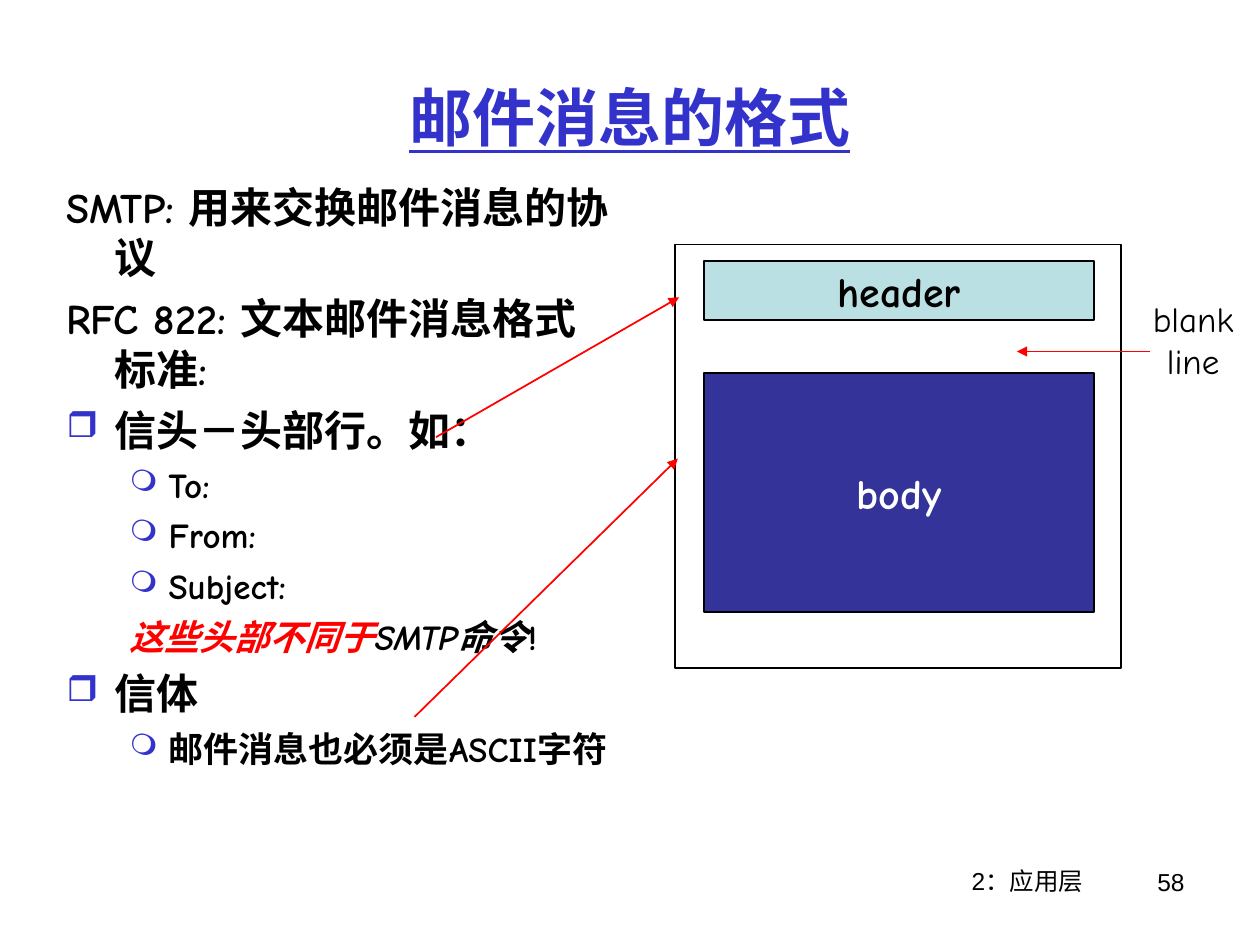
from dataclasses import dataclass

from lxml import etree
from pptx import Presentation
from pptx import util as u
from pptx.dml.color import RGBColor
from pptx.enum import shapes, text
from pptx.oxml import ns

SCALE = 9144


def px(length):
    return u.Emu(length * SCALE)


def child(parent, tag, **attributes):
    return etree.SubElement(parent, ns.qn(tag), attributes)


@dataclass(frozen=True)
class Theme:
    font: str = "Comic Neue"
    footer_font: str = "Arial"
    ink: str = "000000"
    paper: str = "FFFFFF"
    accent: str = "3333CC"
    alert: str = "FF0000"
    header_fill: str = "BBE0E3"
    body_fill: str = "333399"
    title_size: int = 36
    main_size: int = 24
    sub_size: int = 20
    footer_size: int = 14
    line_width: int = 1


@dataclass(frozen=True)
class Level:
    size: int
    left: int
    hanging: int
    before: int
    bullet: str


THEME = Theme()
MAIN = Level(THEME.main_size, 38, 38, 6, "❒")
SUB = Level(THEME.sub_size, 81, 31, 5, "❍")
CENTER = text.PP_ALIGN.CENTER
RIGHT = text.PP_ALIGN.RIGHT
MIDDLE = text.MSO_ANCHOR.MIDDLE


class SlideBuilder:
    def __init__(self, slide, theme):
        self.slide = slide
        self.theme = theme

    def style(self, run, size, color=None, bold=False, italic=False, underline=False, font=None):
        run.font.name = font or self.theme.font
        run.font.size = u.Pt(size)
        run.font.bold = bold
        run.font.italic = italic
        run.font.underline = underline
        run.font.color.rgb = RGBColor.from_string(color or self.theme.ink)

    def fill_text(self, frame, words, size, align=CENTER, **look):
        frame.text = words
        for paragraph in frame.paragraphs:
            paragraph.alignment = align
            for run in paragraph.runs:
                self.style(run, size, **look)

    def label(self, box, words, size, wrap=True, anchor=text.MSO_ANCHOR.TOP, **look):
        frame = self.slide.shapes.add_textbox(*map(px, box)).text_frame
        frame.word_wrap = wrap
        frame.vertical_anchor = anchor
        self.fill_text(frame, words, size, **look)

    def outline(self, box, items):
        frame = self.slide.shapes.add_textbox(*map(px, box)).text_frame
        frame.word_wrap = True
        for index, (level, bulleted, parts) in enumerate(items):
            paragraph = frame.add_paragraph() if index else frame.paragraphs[0]
            if index:
                paragraph.space_before = u.Pt(level.before)
            self.indent(paragraph, level, bulleted)
            for words, color, italic in parts:
                run = paragraph.add_run()
                run.text = words
                self.style(run, level.size, color, bold=True, italic=italic)

    def indent(self, paragraph, level, bulleted):
        properties = paragraph._p.get_or_add_pPr()
        properties.set("marL", str(px(level.left)))
        properties.set("indent", str(-px(level.hanging)))
        if bulleted:
            child(child(properties, "a:buClr"), "a:srgbClr", val=self.theme.accent)
            child(properties, "a:buSzPct", val="85000")
            child(properties, "a:buChar", char=level.bullet)
        else:
            child(properties, "a:buNone")

    def block(self, box, fill=None, words="", color=None):
        block = self.slide.shapes.add_shape(shapes.MSO_SHAPE.RECTANGLE, *map(px, box))
        block.shadow.inherit = False
        if fill:
            block.fill.solid()
            block.fill.fore_color.rgb = RGBColor.from_string(fill)
        else:
            block.fill.background()
        block.line.color.rgb = RGBColor.from_string(self.theme.ink)
        block.line.width = u.Pt(self.theme.line_width)
        if words:
            block.text_frame.word_wrap = False
            block.text_frame.vertical_anchor = MIDDLE
            self.fill_text(block.text_frame, words, self.theme.main_size, color=color, bold=True)

    def arrow(self, start, end):
        arrow = self.slide.shapes.add_connector(
            shapes.MSO_CONNECTOR.STRAIGHT, *map(px, start + end)
        )
        arrow.line.color.rgb = RGBColor.from_string(self.theme.alert)
        arrow.line.width = u.Pt(self.theme.line_width)
        child(arrow.line._get_or_add_ln(), "a:tailEnd", type="triangle")
        child(arrow._element.spPr, "a:effectLst")


def plain(words):
    return [(words, THEME.ink, False)]


OUTLINE = [
    (MAIN, False, plain("SMTP: 用来交换邮件消息的协议")),
    (MAIN, False, plain("RFC 822: 文本邮件消息格式标准:")),
    (MAIN, True, plain("信头－头部行。如：")),
    *[(SUB, True, plain(field)) for field in ("To:", "From:", "Subject:")],
    (SUB, False, [
        ("这些头部不同于", THEME.alert, True),
        ("SMTP命令", THEME.ink, True),
        ("!", THEME.ink, False),
    ]),
    (MAIN, True, plain("信体")),
    (SUB, True, plain("邮件消息也必须是ASCII字符")),
]


def main():
    deck = Presentation()
    deck.slide_width, deck.slide_height = px(1000), px(750)
    page = SlideBuilder(deck.slides.add_slide(deck.slide_layouts[6]), THEME)

    footer = {"size": THEME.footer_size, "font": THEME.footer_font}
    page.label((657, 682, 317, 52), "2：应用层", **footer)
    page.label((862, 683, 88, 52), "58", align=RIGHT, **footer)
    page.label((50, 30, 900, 125), "邮件消息的格式", THEME.title_size,
               anchor=MIDDLE, color=THEME.accent, bold=True, underline=True)
    page.outline((43, 139, 457, 508), OUTLINE)

    page.block((559, 207, 309, 47), THEME.header_fill, "header", THEME.ink)
    page.block((559, 296, 309, 190), THEME.body_fill, "body", THEME.paper)
    page.block((536, 194, 354, 336))

    page.arrow((346, 347), (539, 236))
    page.arrow((329, 569), (538, 364))
    page.label((905, 231, 84, 77), "blank\nline", THEME.sub_size, wrap=False)
    page.arrow((913, 279), (807, 279))

    deck.save("out.pptx")


if __name__ == "__main__":
    main()
